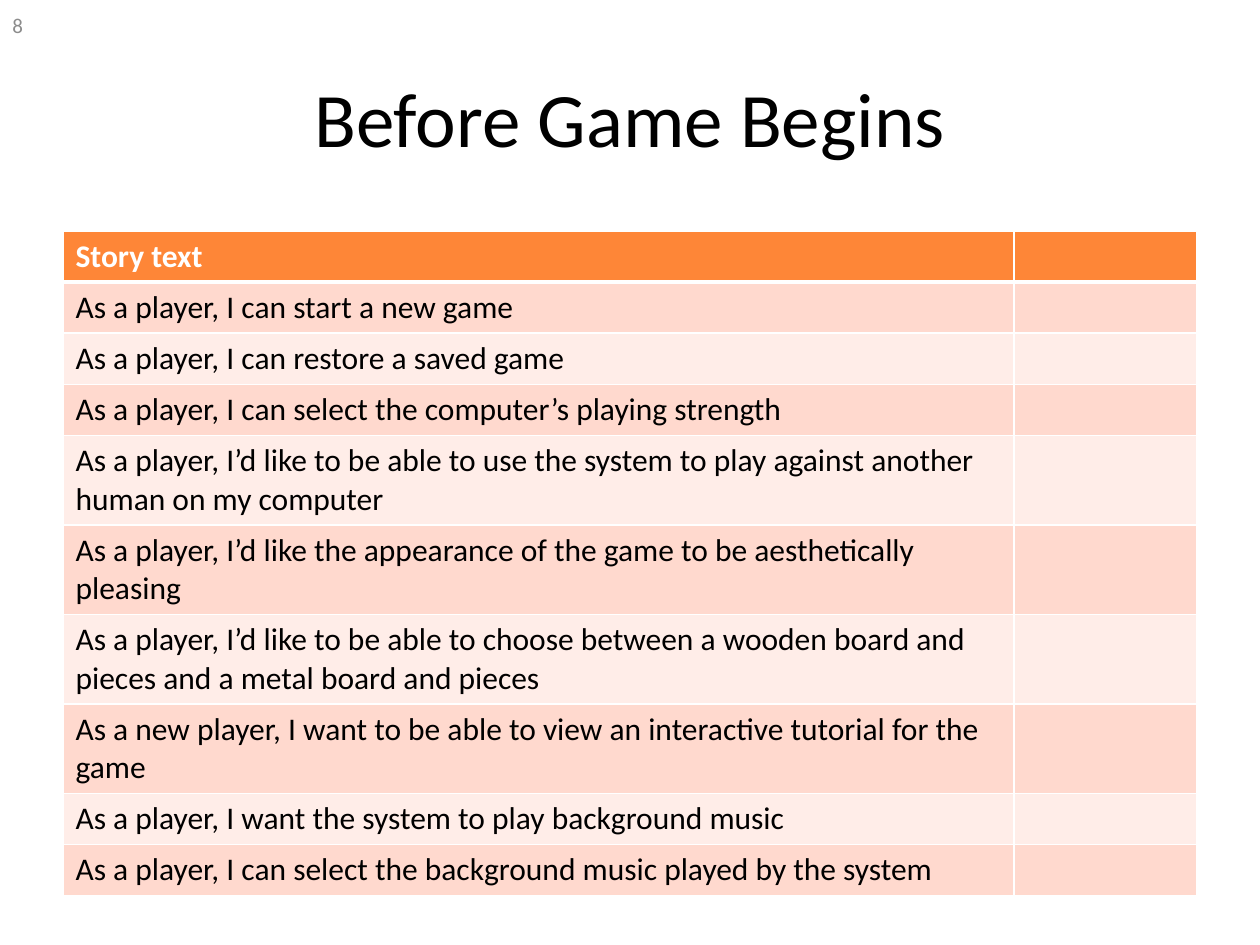
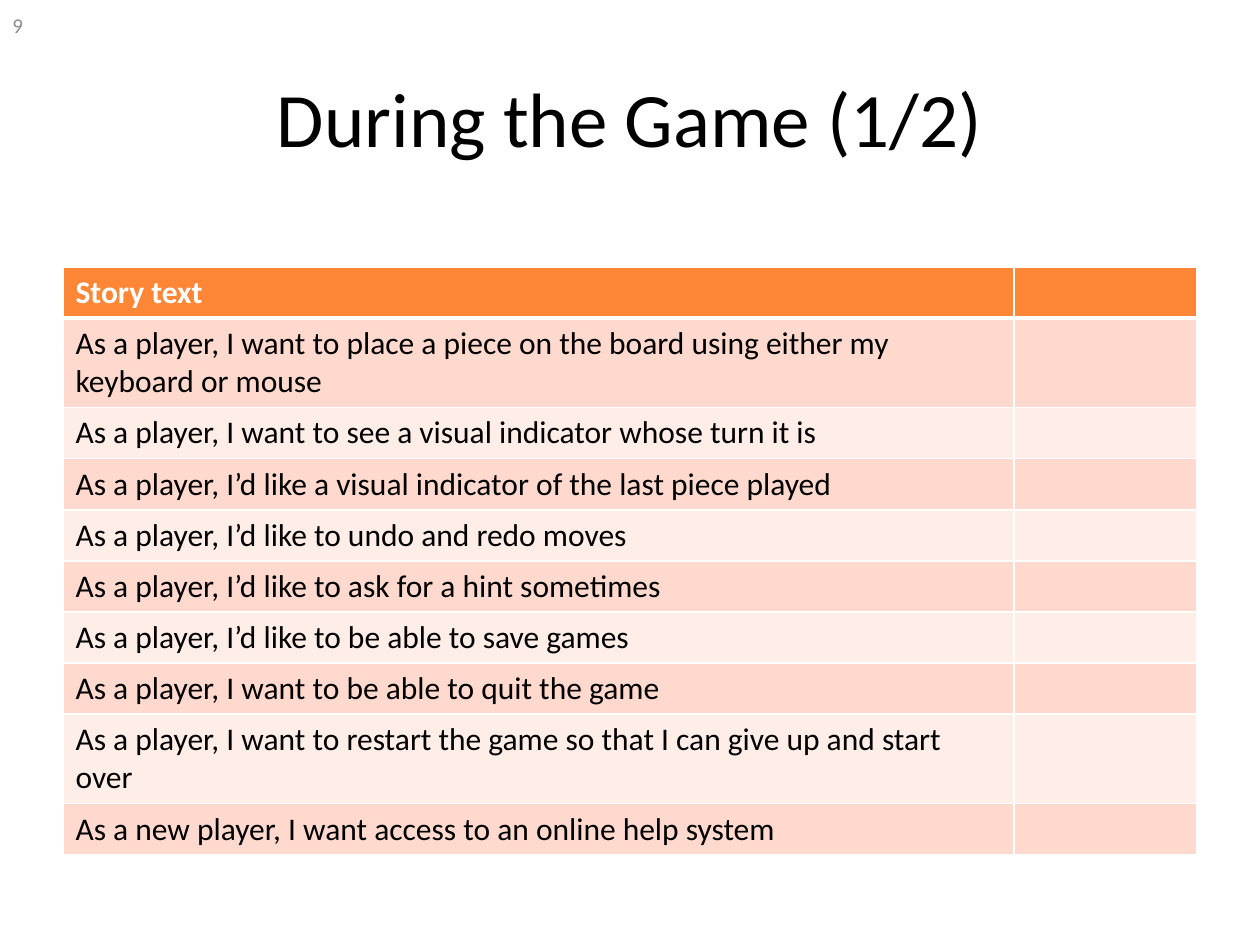
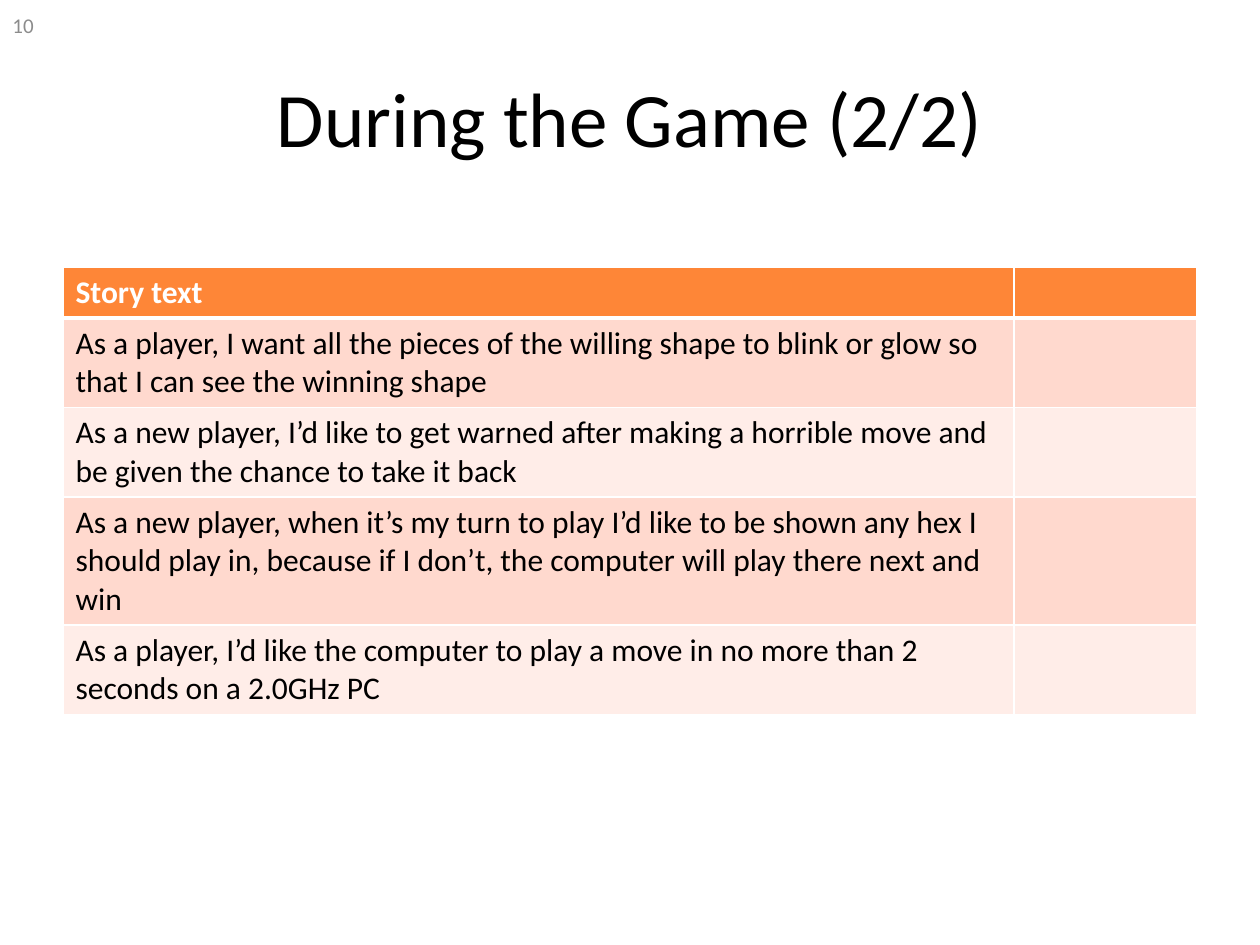
from lxml import etree
from pptx import Presentation
from pptx.dml.color import RGBColor
from pptx.enum.text import MSO_ANCHOR, PP_ALIGN
from pptx.oxml.ns import qn
from pptx.util import Emu, Pt

MIDDLE = MSO_ANCHOR.MIDDLE
LEFT, CENTER = PP_ALIGN.LEFT, PP_ALIGN.CENTER

FONT = "Calibri"
BLACK, WHITE, GREY = "000000", "FFFFFF", "8C8C8C"
HEADER_FILL = "FE8637"
BAND_FILLS = ("FFD9CE", "FFEDE8")

FIRST_NUMBER = 8
HEADER = "Story text"
STORY_SLIDES = [
    {
        "title": "Before Game Begins",
        "table_top": 231,
        "stories": [
            "As a player, I can start a new game",
            "As a player, I can restore a saved game",
            "As a player, I can select the computer’s playing strength",
            "As a player, I’d like to be able to use the system to play against another human on my computer",
            "As a player, I’d like the appearance of the game to be aesthetically pleasing",
            "As a player, I’d like to be able to choose between a wooden board and pieces and a metal board and pieces",
            "As a new player, I want to be able to view an interactive tutorial for the game",
            "As a player, I want the system to play background music",
            "As a player, I can select the background music played by the system",
        ],
    },
    {
        "title": "During the Game (1/2)",
        "table_top": 267,
        "stories": [
            "As a player, I want to place a piece on the board using either my keyboard or mouse",
            "As a player, I want to see a visual indicator whose turn it is",
            "As a player, I’d like a visual indicator of the last piece played",
            "As a player, I’d like to undo and redo moves",
            "As a player, I’d like to ask for a hint sometimes",
            "As a player, I’d like to be able to save games",
            "As a player, I want to be able to quit the game",
            "As a player, I want to restart the game so that I can give up and start over",
            "As a new player, I want access to an online help system",
        ],
    },
    {
        "title": "During the Game (2/2)",
        "table_top": 267,
        "stories": [
            "As a player, I want all the pieces of the willing shape to blink or glow so that I can see the winning shape",
            "As a new player, I’d like to get warned after making a horrible move and be given the chance to take it back",
            "As a new player, when it’s my turn to play I’d like to be shown any hex I should play in, because if I don’t, the computer will play there next and win",
            "As a player, I’d like the computer to play a move in no more than 2 seconds on a 2.0GHz PC",
        ],
    },
]

# Lengths in px
PX_PER_INCH = 126
SLIDE_SIZE = (1260, 945)
TITLE_BOX = (63, 38, 1134, 157)
NUMBER_BOX = (0, 0, 294, 50)
TABLE_LEFT = 63
COLUMN_WIDTHS = (951, 183)
ROW_HEIGHT = 51


def px(length):
    return Emu(round(length * 914400 / PX_PER_INCH))


def color(hex_string):
    return RGBColor.from_string(hex_string)


def write(frame, text, size, ink, align=LEFT, bold=False):
    frame.word_wrap = True
    paragraph = frame.paragraphs[0]
    paragraph.alignment = align
    run = paragraph.add_run()
    run.text = text
    run.font.name = FONT
    run.font.size = Pt(size)
    run.font.bold = bold
    run.font.color.rgb = color(ink)


def add_title(slide, text):
    title = slide.shapes.title
    title.left, title.top, title.width, title.height = map(px, TITLE_BOX)
    title.text_frame.vertical_anchor = MIDDLE
    write(title.text_frame, text, 44, BLACK, CENTER)


def add_number(slide, number):
    frame = slide.shapes.add_textbox(*map(px, NUMBER_BOX)).text_frame
    frame.vertical_anchor = MIDDLE
    write(frame, str(number), 12, GREY)


def add_borders(cell, top, bottom):
    """Draw white cell edges; top and bottom are widths in points."""
    properties = cell._tc.get_or_add_tcPr()
    for side, width in (("L", 1), ("R", 1), ("T", top), ("B", bottom)):
        line = etree.SubElement(properties, qn(f"a:ln{side}"), w=str(Pt(width)))
        fill = etree.SubElement(line, qn("a:solidFill"))
        etree.SubElement(fill, qn("a:srgbClr"), val=WHITE)


def add_story_table(slide, top, stories):
    texts = [HEADER, *stories]
    table = slide.shapes.add_table(
        len(texts), len(COLUMN_WIDTHS), px(TABLE_LEFT), px(top),
        px(sum(COLUMN_WIDTHS)), px(ROW_HEIGHT * len(texts))).table
    for column, width in zip(table.columns, COLUMN_WIDTHS):
        column.width = px(width)
    for index, (row, text) in enumerate(zip(table.rows, texts)):
        is_header = index == 0
        row.height = px(ROW_HEIGHT)
        for cell in row.cells:
            add_borders(cell, top=3 if index == 1 else 1, bottom=3 if is_header else 1)
            cell.fill.solid()
            cell.fill.fore_color.rgb = color(
                HEADER_FILL if is_header else BAND_FILLS[(index - 1) % 2])
        write(row.cells[0].text_frame, text, 18,
              WHITE if is_header else BLACK, bold=is_header)


def main():
    deck = Presentation()
    deck.slide_width, deck.slide_height = map(px, SLIDE_SIZE)
    title_only = deck.slide_layouts[5]
    for number, content in enumerate(STORY_SLIDES, FIRST_NUMBER):
        slide = deck.slides.add_slide(title_only)
        add_title(slide, content["title"])
        add_story_table(slide, content["table_top"], content["stories"])
        add_number(slide, number)
    deck.save("out.pptx")


if __name__ == "__main__":
    main()
